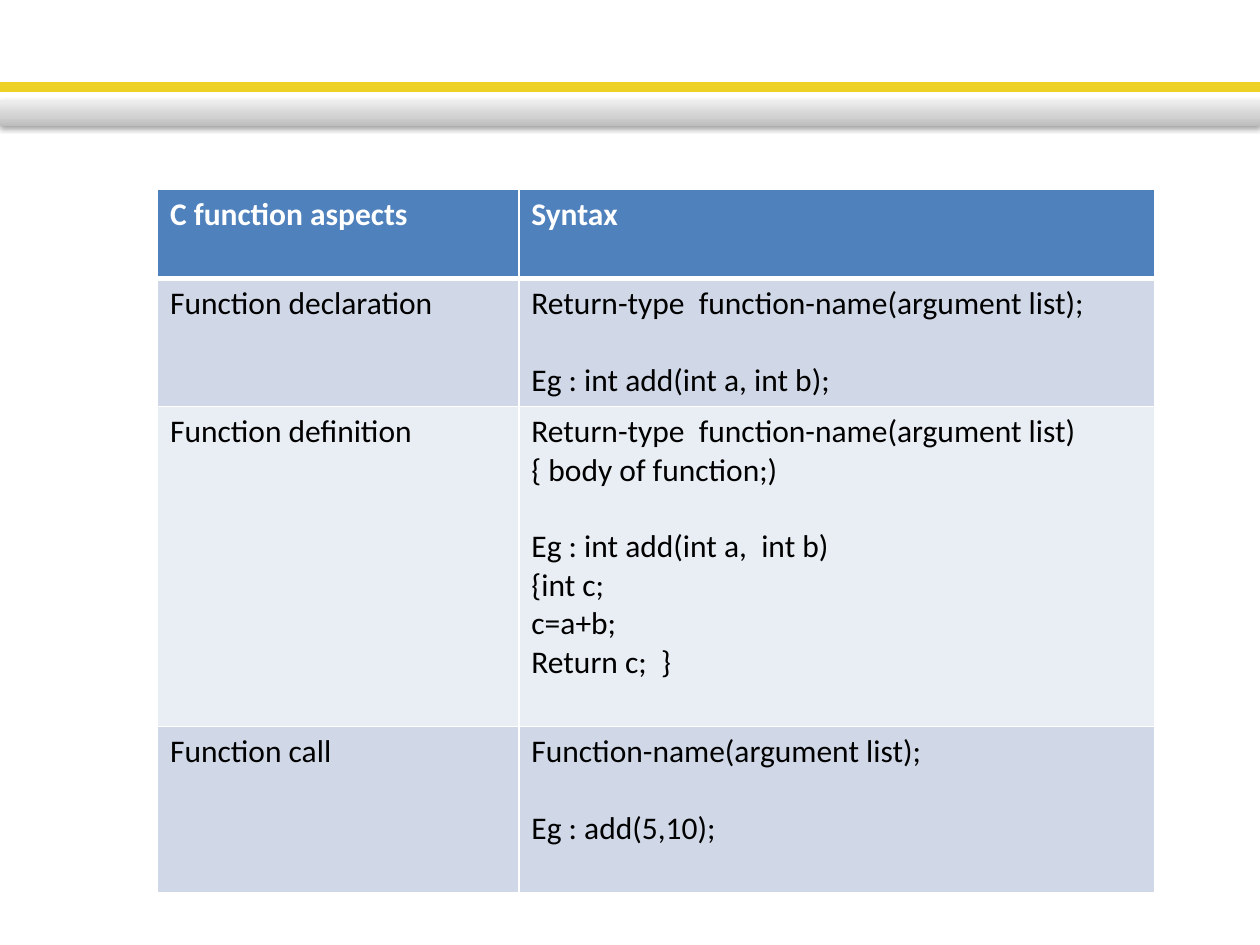
"""Build a slide with a banner and a table of C function syntax."""
import copy
import pptx
import pptx.dml.color
import pptx.enum.shapes
import pptx.oxml
import pptx.oxml.ns
import pptx.util

Pt = pptx.util.Pt
RGBColor = pptx.dml.color.RGBColor
WHITE = RGBColor(0xFF, 0xFF, 0xFF)
BLACK = RGBColor(0, 0, 0)
YELLOW = RGBColor(0xEE, 0xD1, 0x26)
BLUE = RGBColor(0x4F, 0x81, 0xBD)
BANDS = (RGBColor(0xE9, 0xED, 0xF4), RGBColor(0xD0, 0xD8, 0xE8))
GREYS = ((0, RGBColor(0xBD, 0xBD, 0xBD)), (0.35, RGBColor(0xD1, 0xD1, 0xD1)),
         (1, RGBColor(0xEE, 0xEE, 0xEE)))
NS = pptx.oxml.ns.nsdecls("a")
GAP = 22
ROWS = (
    (51, "C function aspects", ["Syntax"]),
    (73, "Function declaration",
     ["Return-type  function-name(argument list);", "", "Eg : int add(int a, int b);"]),
    (183, "Function definition",
     ["Return-type  function-name(argument list)", "{ body of function;)", "",
      "Eg : int add(int a,  int b)", "{int c;", "c=a+b;", "Return c;  }"]),
    (95, "Function call", ["Function-name(argument list);", "", "Eg : add(5,10);"]),
)


def add_bar(slide, left, top, width, height):
    """Add a plain rectangle without a shadow."""
    kind = pptx.enum.shapes.MSO_SHAPE.RECTANGLE
    bar = slide.shapes.add_shape(kind, Pt(left), Pt(top), Pt(width), Pt(height))
    bar.shadow.inherit = False
    return bar


def add_banner(slide, left, top, width):
    """Draw the yellow rule and the shaded grey band below it."""
    rule = add_bar(slide, left, top, width, 3.6)
    rule.fill.solid()
    rule.fill.fore_color.rgb = YELLOW
    rule.line.color.rgb = YELLOW
    rule.line.width = Pt(2)

    band = add_bar(slide, left, top + 9.4, width, 14.4)
    band.line.fill.background()
    band.fill.gradient()
    band.fill.gradient_angle = 90
    stops = band._element.spPr.find(".//" + pptx.oxml.ns.qn("a:gsLst"))
    stops.insert(1, copy.deepcopy(stops[0]))
    for stop, (place, grey) in zip(band.fill.gradient_stops, GREYS):
        stop.position = place
        stop.color.rgb = grey
    effect = band._element.spPr.find(pptx.oxml.ns.qn("a:effectLst"))
    effect.append(pptx.oxml.parse_xml(
        f'<a:outerShdw {NS} blurRad="{Pt(3.1)}" dist="{Pt(1.6)}" dir="5400000" rotWithShape="0">'
        '<a:srgbClr val="000000"><a:alpha val="38000"/></a:srgbClr></a:outerShdw>'))


def add_edges(cell, top, bottom):
    """Give a cell white borders of the stated widths."""
    for side, width in (("L", 1), ("R", 1), ("T", top), ("B", bottom)):
        cell._tc.get_or_add_tcPr().append(pptx.oxml.parse_xml(
            f'<a:ln{side} {NS} w="{Pt(width)}"><a:solidFill>'
            f'<a:srgbClr val="{WHITE}"/></a:solidFill></a:ln{side}>'))


def fill_cell(cell, lines, color, bold):
    """Write lines into a cell, an empty line being a gap before the next."""
    frame = cell.text_frame
    para, gap = frame.paragraphs[0], 0
    for line in lines:
        if not line:
            gap = GAP
            continue
        if para.runs:
            para = frame.add_paragraph()
        para.space_before = Pt(gap)
        gap = 0
        run = para.add_run()
        run.text = line
        run.font.name = "Calibri"
        run.font.size = Pt(18)
        run.font.bold = bold
        run.font.color.rgb = color


def add_grid(slide, left, top, width):
    """Place the syntax table with its header and banded rows."""
    height = sum(row[0] for row in ROWS)
    table = slide.shapes.add_table(
        len(ROWS), 2, Pt(left), Pt(top), Pt(width), Pt(height)).table
    first = 206.5
    table.columns[0].width = Pt(first)
    table.columns[1].width = Pt(width - first)
    for num, (tall, name, lines) in enumerate(ROWS):
        head = num == 0
        table.rows[num].height = Pt(tall)
        for col, text in enumerate(([name], lines)):
            cell = table.cell(num, col)
            add_edges(cell, 3 if num == 1 else 1, 3 if head else 1)
            cell.fill.solid()
            cell.fill.fore_color.rgb = BLUE if head else BANDS[num % 2]
            fill_cell(cell, text, WHITE if head else BLACK, head)


def main():
    """Build and save the slide."""
    deck = pptx.Presentation()
    deck.slide_width, deck.slide_height = Pt(720), Pt(540)
    slide = deck.slides.add_slide(deck.slide_layouts[6])
    add_banner(slide, 0, 48, 720)
    add_grid(slide, 90, 108, 570)
    deck.save("out.pptx")


main()
